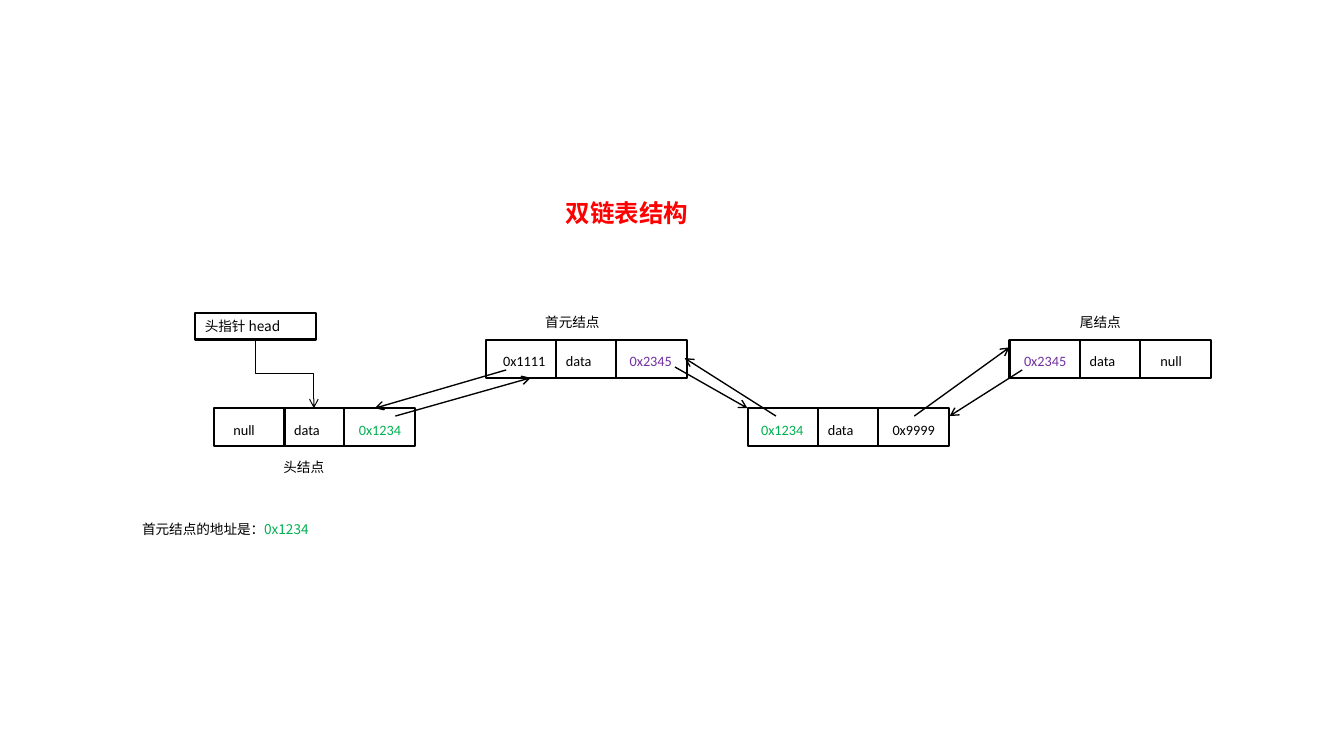
import pptx
import pptx.util
import pptx.dml.color
import pptx.enum.shapes
import pptx.enum.text
from lxml import etree
from pptx.oxml.ns import qn

PX = 9144  # 100 px to the inch
COLORS = {"black": "000000", "white": "FFFFFF", "red": "FF0000",
          "green": "00B050", "purple": "7030A0"}
LATIN, CJK = "Calibri", "Noto Sans CJK SC"

# Content: each node is (x, y, cells), each cell is (text, color, text offset)
NODES = [
    (495, 346, [("0x1111", "black", 8), ("data", "black", 72), ("0x2345", "purple", 137)]),
    (762, 416, [("0x1234", "green", 4), ("data", "black", 72), ("0x9999", "black", 138)]),
    (1029, 346, [("0x2345", "purple", 5), ("data", "black", 72), ("null", "black", 144)]),
    (218, 416, [("null", "black", 10), ("data", "black", 72), ("0x1234", "green", 138)]),
]
NODE_W, NODE_H = 205, 39
DIVIDERS = (72, 133)
CELL_W, CELL_H, CELL_DY = 92, 28, 8

TITLE = ("双链表结构", 567, 197, 596, 40)
LABELS = [("头结点", 279, 463, 92), ("尾结点", 1091, 315, 92), ("首元结点", 546, 315, 103)]
LABEL_H = 27
HEAD = ("头指针 head", 199, 319, 123, 27)
HEAD_LINK = (260, 346, 320, 416)
LINKS = [
    (403, 424, 541, 385), (516, 377, 382, 416),
    (688, 374, 762, 416), (791, 424, 698, 365),
    (932, 424, 1029, 354), (1042, 377, 968, 424),
]
ADDRESS = ([("首元结点的地址是：", "black"), ("0x1234", "green")], 135, 526, 247)

prs = pptx.Presentation()
prs.slide_width, prs.slide_height = 1370 * PX, 750 * PX
s = prs.slides.add_slide(prs.slide_layouts[6])


def rgb(name):
    return pptx.dml.color.RGBColor.from_string(COLORS[name])


def write(sp, runs, size=10, color="black", bold=False, font=CJK):
    """Fill a shape with one paragraph: a string or (text, color) runs."""
    tf = sp.text_frame
    tf.word_wrap = True
    p = tf.paragraphs[0]
    p.alignment = pptx.enum.text.PP_ALIGN.LEFT
    for text, tint in [(runs, color)] if isinstance(runs, str) else runs:
        r = p.add_run()
        r.text = text
        r.font.size = pptx.util.Pt(size)
        r.font.bold = bold
        r.font.name = font
        r.font.color.rgb = rgb(tint)
        etree.SubElement(r.font._element, qn("a:ea")).set("typeface", CJK)


def text_box(runs, x, y, w, h, **fmt):
    write(s.shapes.add_textbox(x * PX, y * PX, w * PX, h * PX), runs, **fmt)


def box(x, y, w, h):
    sp = s.shapes.add_shape(pptx.enum.shapes.MSO_SHAPE.RECTANGLE,
                            x * PX, y * PX, w * PX, h * PX)
    sp.shadow.inherit = False
    sp.fill.solid()
    sp.fill.fore_color.rgb = rgb("white")
    sp.line.color.rgb = rgb("black")
    sp.line.width = pptx.util.Pt(1.5)
    return sp


def line(x1, y1, x2, y2, width, arrow=True, kind="STRAIGHT"):
    c = s.shapes.add_connector(pptx.enum.shapes.MSO_CONNECTOR[kind],
                               *(round(v * PX) for v in (x1, y1, x2, y2)))
    c.line.color.rgb = rgb("black")
    c.line.width = pptx.util.Pt(width)
    if arrow:
        etree.SubElement(c.line._get_or_add_ln(), qn("a:tailEnd")).set("type", "arrow")
    etree.SubElement(c._element.spPr, qn("a:effectLst"))
    return c


def elbow_down(x1, y1, x2, y2, width):
    """Down, across, down: an elbow laid on its side and turned 270 degrees."""
    cx, cy = (x1 + x2) / 2, (y1 + y2) / 2
    dx, dy = (x2 - x1) / 2, (y2 - y1) / 2
    c = line(cx + dy, cy - dx, cx - dy, cy + dx, width, kind="ELBOW")
    c._element.spPr.find(qn("a:xfrm")).set("rot", str(270 * 60000))


# Title
text_box(*TITLE, size=18, color="red", bold=True, font=LATIN)

# Nodes
for x, y, cells in NODES:
    box(x, y, NODE_W, NODE_H)
    for dx in DIVIDERS:
        line(x + dx, y, x + dx, y + NODE_H, 1.5, arrow=False)
    for text, color, dx in cells:
        text_box(text, x + dx, y + CELL_DY, CELL_W, CELL_H,
                 size=10.5, color=color, font=LATIN)

# Node labels
for text, x, y, w in LABELS:
    text_box(text, x, y, w, LABEL_H)

# Head pointer
write(box(*HEAD[1:]), HEAD[0])
elbow_down(*HEAD_LINK, 0.75)

# Links between nodes
for link in LINKS:
    line(*link, 1)

# Address note
text_box(*ADDRESS, LABEL_H)

prs.save("out.pptx")
